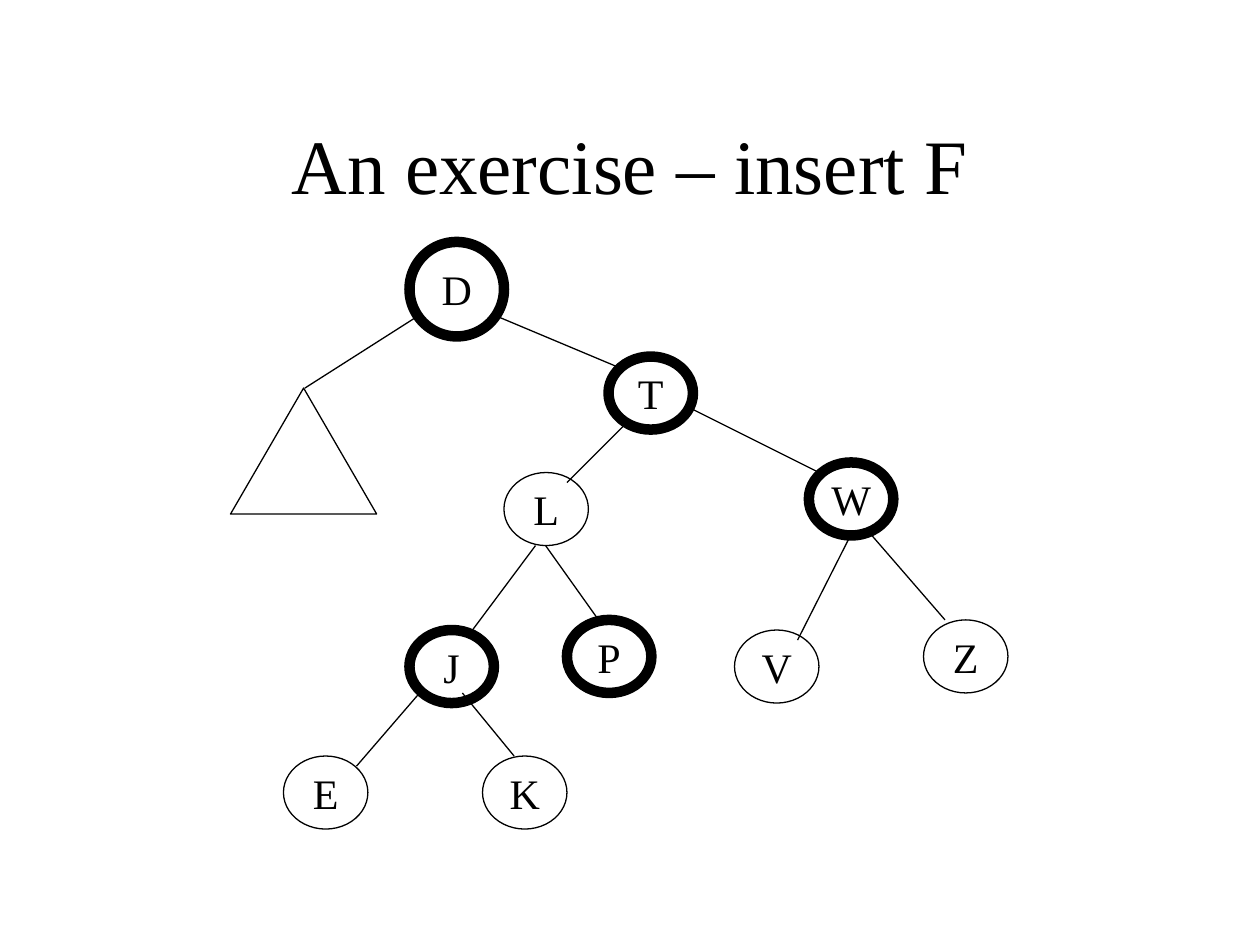
"""Build a slide with a red-black tree exercise on inserting F."""
from lxml.etree import SubElement
from pptx import Presentation
from pptx.dml.color import RGBColor
from pptx.enum.shapes import MSO_CONNECTOR as Connector, MSO_SHAPE as Shape
from pptx.enum.text import MSO_ANCHOR as Anchor, PP_ALIGN as Align
from pptx.oxml.ns import qn
from pptx.util import Inches, Pt

BLACK, WHITE = "000000", "FFFFFF"
THIN, THICK = 0.75, 6


def color(value):
    return RGBColor.from_string(value)


def write(frame, text, size):
    frame.vertical_anchor = Anchor.MIDDLE
    paragraph = frame.paragraphs[0]
    paragraph.text = text
    paragraph.alignment = Align.CENTER
    paragraph.font.name = "Times New Roman"
    paragraph.font.size = Pt(size)
    paragraph.font.color.rgb = color(BLACK)


deck = Presentation()
deck.slide_width, deck.slide_height = Inches(10), Inches(7.5)
slide = deck.slides.add_slide(deck.slide_layouts[6])

title = slide.shapes.add_textbox(Inches(0.75), Inches(0.67), Inches(8.5), Inches(1.25))
title.text_frame.word_wrap = True
write(title.text_frame, "An exercise – insert F", 44)

nodes = [
    ("D", 3.25, 1.92, 0.75, 0.75, THICK),
    ("T", 4.83, 2.83, 0.67, 0.58, THICK),
    ("W", 6.42, 3.67, 0.67, 0.58, THICK),
    ("Z", 7.33, 4.92, 0.67, 0.58, THIN),
    ("V", 5.83, 5, 0.67, 0.58, THIN),
    ("L", 4, 3.75, 0.67, 0.58, THIN),
    ("J", 3.25, 5, 0.67, 0.58, THICK),
    ("P", 4.5, 4.92, 0.67, 0.58, THICK),
    ("E", 2.25, 6, 0.67, 0.58, THIN),
    ("K", 3.83, 6, 0.67, 0.58, THIN),
    ("", 1.83, 3.08, 1.16, 1, THIN),
]
for letter, left, top, width, height, outline in nodes:
    outer = Shape.OVAL if letter else Shape.ISOSCELES_TRIANGLE
    node = slide.shapes.add_shape(
        outer, Inches(left), Inches(top), Inches(width), Inches(height))
    node.shadow.inherit = False
    node.fill.solid()
    node.fill.fore_color.rgb = color(WHITE)
    node.line.color.rgb = color(BLACK)
    node.line.width = Pt(outline)
    if letter:
        node.text_frame.word_wrap = False
        write(node.text_frame, letter, 24)

edges = [
    (3.92, 2.5, 4.92, 2.92),
    (5, 3.33, 4.5, 3.83),
    (5.5, 3.25, 6.5, 3.75),
    (4.25, 4.33, 3.75, 5),
    (4.33, 4.33, 4.75, 4.92),
    (6.75, 4.25, 6.33, 5.08),
    (6.92, 4.25, 7.5, 4.92),
    (3.33, 5.5, 2.83, 6.08),
    (3.67, 5.5, 4.08, 6),
    (3.33, 2.5, 2.42, 3.08),
]
for ends in edges:
    edge = slide.shapes.add_connector(Connector.STRAIGHT, *map(Inches, ends))
    edge.line.color.rgb = color(BLACK)
    edge.line.width = Pt(THIN)
    SubElement(edge._element.spPr, qn("a:effectLst"))

deck.save("out.pptx")
